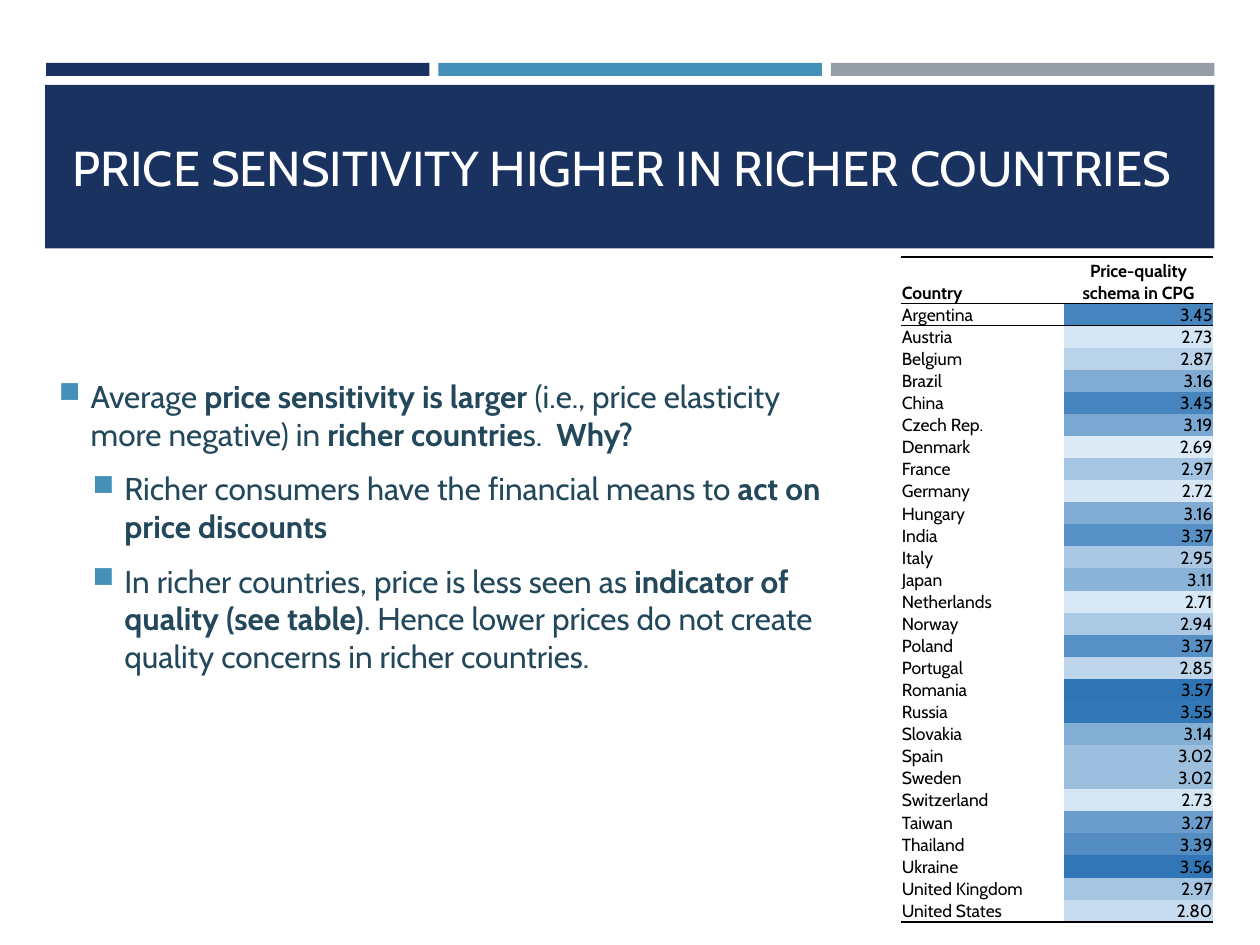
from lxml.etree import SubElement
from pptx import Presentation
from pptx.dml.color import RGBColor
from pptx.enum.shapes import MSO_SHAPE
from pptx.enum.text import MSO_ANCHOR, PP_ALIGN
from pptx.oxml.ns import qn
from pptx.util import Cm, Pt

FONT = "Cabin"
NAVY = RGBColor(0x1A, 0x32, 0x60)
BLUE = RGBColor(0x45, 0x90, 0xB8)
GRAY = RGBColor(0x96, 0x9F, 0xA7)
TEAL = RGBColor(0x23, 0x48, 0x5C)
WHITE = RGBColor(0xFF, 0xFF, 0xFF)
BLACK = RGBColor(0x00, 0x00, 0x00)
SCALE_LOW = RGBColor(0xDD, 0xEB, 0xF7)
SCALE_HIGH = RGBColor(0x2F, 0x75, 0xB5)
NO_STYLE_NO_GRID = "{2D5ABB26-0587-4C30-8999-92F81FD0307C}"

# Each bullet: outline level, then (text, bold) runs
BULLETS = [
    (0, [("Average ", False), ("price sensitivity is larger ", True),
         ("(i.e., price elasticity more negative) in ", False),
         ("richer countrie", True), ("s. ", False), (" Why?", True)]),
    (1, [("Richer consumers have the financial means to ", False),
         ("act on price discounts", True)]),
    (1, [("In richer countries, price is less seen as ", False),
         ("indicator of quality (see table)", True),
         (". Hence lower prices do not create quality concerns in richer countries.", False)]),
]
HEADERS = ("Country", "Price-quality schema in CPG")
SCORES = {
    "Argentina": 3.45, "Austria": 2.73, "Belgium": 2.87, "Brazil": 3.16,
    "China": 3.45, "Czech Rep.": 3.19, "Denmark": 2.69, "France": 2.97,
    "Germany": 2.72, "Hungary": 3.16, "India": 3.37, "Italy": 2.95,
    "Japan": 3.11, "Netherlands": 2.71, "Norway": 2.94, "Poland": 3.37,
    "Portugal": 2.85, "Romania": 3.57, "Russia": 3.55, "Slovakia": 3.14,
    "Spain": 3.02, "Sweden": 3.02, "Switzerland": 2.73, "Taiwan": 3.27,
    "Thailand": 3.39, "Ukraine": 3.56, "United Kingdom": 2.97,
    "United States": 2.80,
}


def add_run(paragraph, text, *, size, color, bold=False):
    run = paragraph.add_run()
    run.text = text
    run.font.name = FONT
    run.font.size = Pt(size)
    run.font.bold = bold
    run.font.color.rgb = color


def add_bar(slide, left, top, width, height, color):
    shape = slide.shapes.add_shape(
        MSO_SHAPE.RECTANGLE, Cm(left), Cm(top), Cm(width), Cm(height))
    shape.shadow.inherit = False
    shape.fill.solid()
    shape.fill.fore_color.rgb = color
    shape.line.fill.background()


def add_text_frame(slide, left, top, width, height):
    box = slide.shapes.add_textbox(Cm(left), Cm(top), Cm(width), Cm(height))
    frame = box.text_frame
    frame.word_wrap = True
    frame.vertical_anchor = MSO_ANCHOR.MIDDLE
    return frame


def set_bullet(paragraph, level):
    properties = paragraph._p.get_or_add_pPr()
    properties.set("marL", str(Cm(1.32 if level else 0.64)))
    properties.set("indent", str(-Cm(0.64)))
    color = SubElement(properties, qn("a:buClr"))
    SubElement(color, qn("a:srgbClr"), val=str(BLUE))
    SubElement(properties, qn("a:buSzPct"), val="92000")
    SubElement(properties, qn("a:buChar"), char="■")


def add_bullets(slide):
    frame = add_text_frame(slide, 0.94, 6.05, 16.21, 10.21)
    frame.margin_bottom = Cm(1.23)
    for index, (level, runs) in enumerate(BULLETS):
        paragraph = frame.add_paragraph() if index else frame.paragraphs[0]
        paragraph.level = level
        paragraph.space_before = Pt(3.6)
        paragraph.space_after = Pt(6)
        set_bullet(paragraph, level)
        for text, bold in runs:
            add_run(paragraph, text, size=18, color=TEAL, bold=bold)


def scale_color(score):
    """Shade between the scale's ends in proportion to the score."""
    low, high = min(SCORES.values()), max(SCORES.values())
    share = (score - low) / (high - low)
    return RGBColor(*(round(start + share * (end - start))
                      for start, end in zip(SCALE_LOW, SCALE_HIGH)))


def set_border(cell, side, width):
    line = SubElement(cell._tc.get_or_add_tcPr(), qn(f"a:{side}"), w=str(Pt(width)))
    fill = SubElement(line, qn("a:solidFill"))
    SubElement(fill, qn("a:srgbClr"), val=str(BLACK))


def fill_cell(cell, text, *, align, bold=False, color=None, top=None, bottom=None):
    cell.margin_left = cell.margin_right = cell.margin_top = Cm(0.02)
    cell.margin_bottom = 0
    cell.vertical_anchor = MSO_ANCHOR.BOTTOM
    paragraph = cell.text_frame.paragraphs[0]
    paragraph.alignment = align
    add_run(paragraph, text, size=10, color=BLACK, bold=bold)
    # Borders come before the fill in the cell properties
    for side, width in (("lnT", top), ("lnB", bottom)):
        if width:
            set_border(cell, side, width)
    if color is None:
        cell.fill.background()
    else:
        cell.fill.solid()
        cell.fill.fore_color.rgb = color


def add_score_table(slide):
    count = len(SCORES)
    frame = slide.shapes.add_table(
        count + 1, 2, Cm(18.16), Cm(5.18), Cm(6.3), Cm(13.26))
    table = frame.table
    table.first_row = table.horz_banding = False
    table._tbl.tblPr.find(qn("a:tableStyleId")).text = NO_STYLE_NO_GRID
    table.columns[0].width, table.columns[1].width = Cm(3.28), Cm(3.02)
    for row in table.rows:
        row.height = Cm(0.44)
    table.rows[0].height = Cm(0.94)

    # Header row
    for column, align in enumerate((PP_ALIGN.LEFT, PP_ALIGN.CENTER)):
        fill_cell(table.cell(0, column), HEADERS[column], align=align,
                  bold=True, top=1.5, bottom=1)

    # One row per country, shaded by score
    for row, (country, score) in enumerate(SCORES.items(), start=1):
        borders = {"top": 1 if row == 1 else None,
                   "bottom": 1.5 if row == count else None}
        fill_cell(table.cell(row, 0), country, align=PP_ALIGN.LEFT, **borders)
        fill_cell(table.cell(row, 1), f"{score:.2f}", align=PP_ALIGN.RIGHT,
                  color=scale_color(score), **borders)


def main():
    presentation = Presentation()
    presentation.slide_width, presentation.slide_height = Cm(25.4), Cm(19.05)
    slide = presentation.slides.add_slide(presentation.slide_layouts[6])

    # Accent bars and title band
    for index, color in enumerate((NAVY, BLUE, GRAY)):
        add_bar(slide, 0.93 + index * 7.91, 1.27, 7.73, 0.26, color)
    add_bar(slide, 0.91, 1.71, 23.57, 3.3, NAVY)

    # Title
    title = add_text_frame(slide, 1.22, 1.96, 22.99, 2.82)
    add_run(title.paragraphs[0], "PRICE SENSITIVITY HIGHER IN RICHER COUNTRIES",
            size=28, color=WHITE)

    # Body and table
    add_bullets(slide)
    add_score_table(slide)
    presentation.save("out.pptx")


if __name__ == "__main__":
    main()
